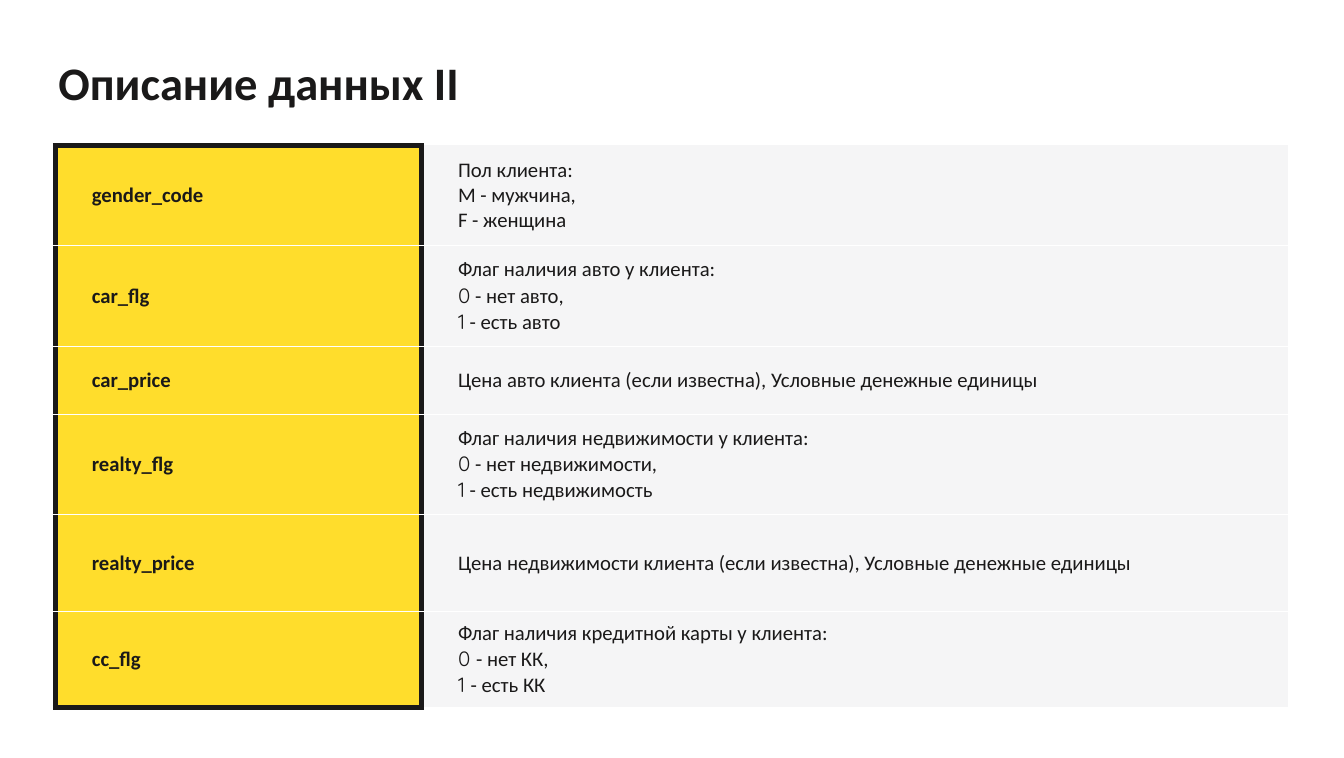
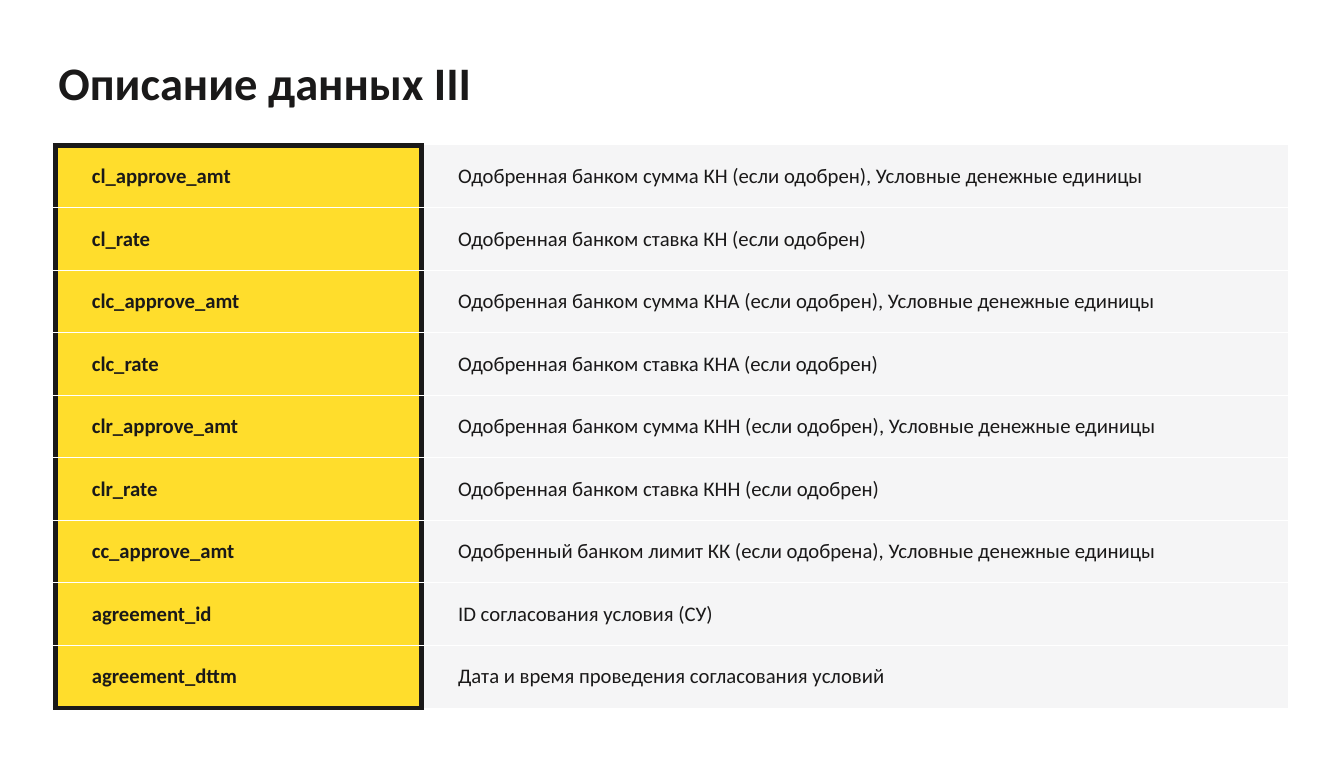
from pptx import Presentation
from pptx import util as u
from pptx.dml.color import RGBColor
from pptx.enum import text as t
from pptx.oxml import parse_xml
from pptx.oxml.ns import nsdecls

HUES = {"ink": "1A1919", "key": "FFDD2C", "note": "F5F5F6", "rule": "FFFFFF"}
FONT = "Calibri"
DIGIT = "Quicksand"
LEFT, TOP, WIDTH, HEIGHT = 0.89, 2.34, 19.86, 9.06
COLS = (5.9, 13.96)
PADS = {"left": 0.59, "top": 0.08, "right": 0.16, "bottom": 0.08}
THICK = ("ink", 6)
THIN = ("rule", 1.5)

FLAGS = [
    ("gender_code", 1.62, ["Пол клиента:", "M - мужчина,", "F - женщина"]),
    ("car_flg", 1.62, ["Флаг наличия авто у клиента:",
                       ("0", " - нет авто,"), ("1", " - есть авто")]),
    ("car_price", 1.09,
     ["Цена авто клиента (если известна), Условные денежные единицы"]),
    ("realty_flg", 1.62, ["Флаг наличия недвижимости у клиента:",
                          ("0", " - нет недвижимости,"),
                          ("1", " - есть недвижимость")]),
    ("realty_price", 1.56,
     ["Цена недвижимости клиента (если известна), Условные денежные единицы"]),
    ("cc_flg", 1.54, ["Флаг наличия кредитной карты у клиента:",
                      ("0 ", "- нет КК,"), ("1 ", "- есть КК")]),
]

TERMS = [
    ("cl_approve_amt",
     "Одобренная банком сумма КН (если одобрен), Условные денежные единицы"),
    ("cl_rate", "Одобренная банком ставка КН (если одобрен)"),
    ("clc_approve_amt",
     "Одобренная банком сумма КНА (если одобрен), Условные денежные единицы"),
    ("clc_rate", "Одобренная банком ставка КНА (если одобрен)"),
    ("clr_approve_amt",
     "Одобренная банком сумма КНН (если одобрен), Условные денежные единицы"),
    ("clr_rate", "Одобренная банком ставка КНН (если одобрен)"),
    ("cc_approve_amt",
     "Одобренный банком лимит КК (если одобрена), Условные денежные единицы"),
    ("agreement_id", "ID согласования условия (СУ)"),
    ("agreement_dttm", "Дата и время проведения согласования условий"),
]


def tint(name):
    return RGBColor.from_string(HUES[name])


def write(frame, lines, size=24, bold=False, color="ink"):
    for i, line in enumerate(lines):
        para = frame.paragraphs[0] if i == 0 else frame.add_paragraph()
        para.alignment = t.PP_ALIGN.LEFT
        parts = [(line, FONT)] if isinstance(line, str) else zip(line, (DIGIT, FONT))
        for words, face in parts:
            run = para.add_run()
            run.text = words
            run.font.name = face
            run.font.size = u.Pt(size)
            run.font.bold = bold
            run.font.color.rgb = tint(color)


def edge(cell, side, line):
    name, size = line or ("rule", 0)
    paint = (f'<a:solidFill><a:srgbClr val="{HUES[name]}"/></a:solidFill>'
             if line else "<a:noFill/>")
    cell._tc.get_or_add_tcPr().append(parse_xml(
        f'<a:ln{side} {nsdecls("a")} w="{u.Pt(size)}">{paint}</a:ln{side}>'))


def fill(cell, lines, hue, edges, bold=False):
    for side, line in zip("LRTB", edges):
        edge(cell, side, line)
    cell.fill.solid()
    cell.fill.fore_color.rgb = tint(hue)
    cell.vertical_anchor = t.MSO_ANCHOR.MIDDLE
    for side, pad in PADS.items():
        setattr(cell, f"margin_{side}", u.Inches(pad))
    write(cell.text_frame, lines, bold=bold)


def head(slide, words):
    title = slide.shapes.title
    title.left, title.top = u.Inches(0.94), u.Inches(0.82)
    title.width, title.height = u.Inches(8.99), u.Inches(1)
    frame = title.text_frame
    frame.margin_left = frame.margin_right = 0
    frame.margin_top = frame.margin_bottom = 0
    frame.vertical_anchor = t.MSO_ANCHOR.MIDDLE
    frame.auto_size = t.MSO_AUTO_SIZE.NONE
    write(frame, [words], size=54, bold=True)


def grid(slide, rows):
    table = slide.shapes.add_table(
        len(rows), len(COLS), u.Inches(LEFT), u.Inches(TOP),
        u.Inches(WIDTH), u.Inches(HEIGHT)).table
    table.first_row = table.horz_banding = False
    for col, width in zip(table.columns, COLS):
        col.width = u.Inches(width)
    last = len(rows) - 1
    for i, (key, tall, lines) in enumerate(rows):
        table.rows[i].height = u.Inches(tall)
        fill(table.cell(i, 0), [key], "key",
             (THICK, THICK, THIN if i else THICK, THIN if i < last else THICK),
             bold=True)
        fill(table.cell(i, 1), lines, "note",
             (THICK, None, THIN if i else None, THIN if i < last else None))


def main():
    deck = Presentation()
    deck.slide_width = u.Cm(55)
    deck.slide_height = u.Cm(31)
    tall = HEIGHT / len(TERMS)
    terms = [(key, tall, [note]) for key, note in TERMS]
    for words, rows in (("Описание данных II", FLAGS),
                        ("Описание данных III", terms)):
        slide = deck.slides.add_slide(deck.slide_layouts[5])
        head(slide, words)
        grid(slide, rows)
    deck.save("out.pptx")


if __name__ == "__main__":
    main()
